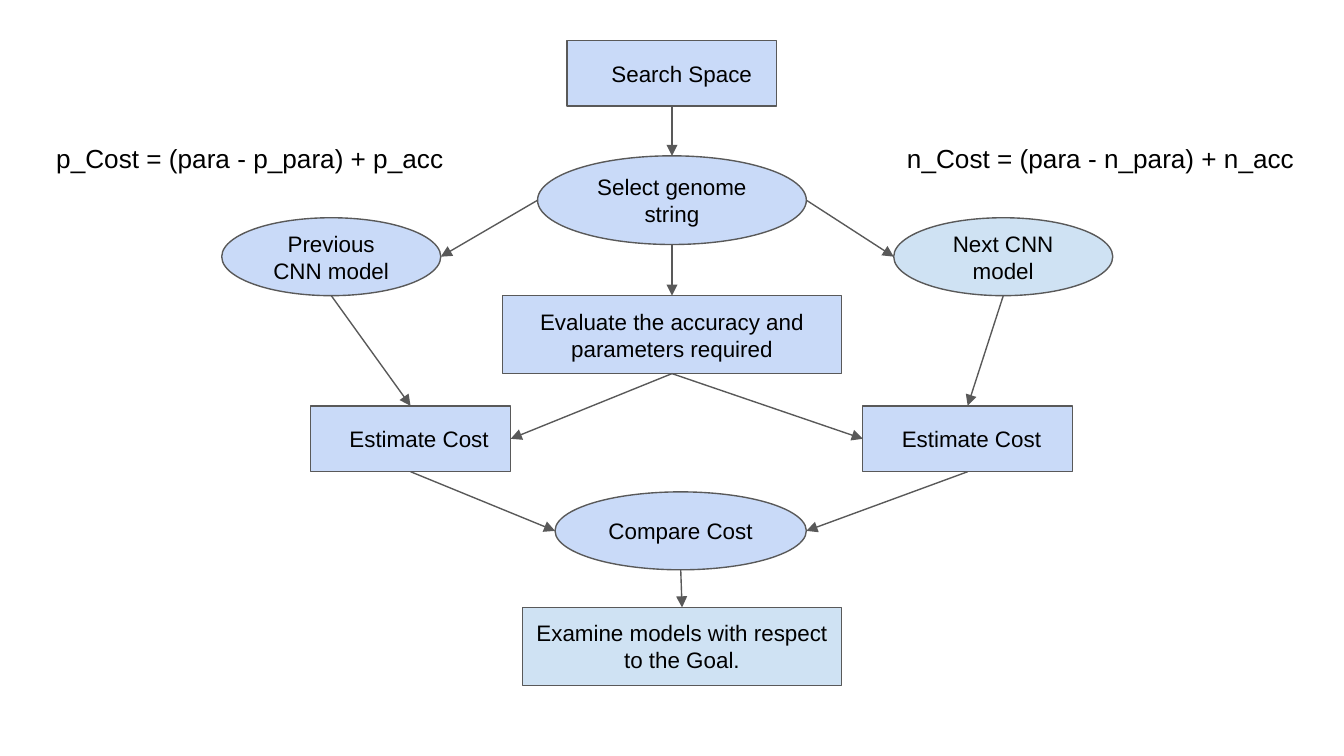
"""Build the flowchart slide of the genome search and its cost comparison."""
from lxml.etree import SubElement
from pptx import Presentation
from pptx.dml.color import RGBColor
from pptx.enum.shapes import MSO_CONNECTOR, MSO_SHAPE
from pptx.enum.text import MSO_ANCHOR, MSO_AUTO_SIZE, PP_ALIGN
from pptx.oxml.ns import qn
from pptx.util import Inches, Pt

COLORS = {"blue": "C9DAF8", "pale": "CFE2F3", "line": "595959", "text": "000000"}
FONT = "Arial"
PAD = 0.1
RECT, OVAL = MSO_SHAPE.RECTANGLE, MSO_SHAPE.OVAL

# name: text, shape, fill, (left, top, width, height), left indent or None if centred
NODES = {
    "search": ("Search Space", RECT, "blue", (4.22, 0.3, 1.56, 0.49), 0.23),
    "select": ("Select genome string", OVAL, "blue", (4, 1.16, 2, 0.66), None),
    "evaluate": ("Evaluate the accuracy and parameters required", RECT, "blue",
                 (3.74, 2.2, 2.52, 0.58), None),
    "prev_cost": ("Estimate Cost", RECT, "blue", (2.31, 3.02, 1.49, 0.49), 0.19),
    "previous": ("Previous CNN model", OVAL, "blue", (1.65, 1.62, 1.63, 0.58), None),
    "next": ("Next CNN model", OVAL, "pale", (6.65, 1.62, 1.63, 0.58), None),
    "next_cost": ("Estimate Cost", RECT, "blue", (6.42, 3.02, 1.56, 0.49), 0.19),
    "compare": ("Compare Cost", OVAL, "blue", (4.13, 3.66, 1.87, 0.58), None),
    "examine": ("Examine models with respect to the Goal.", RECT, "pale",
                (3.89, 4.52, 2.37, 0.58), None),
}
ARROWS = [
    ("search", "bottom", "select", "top"),
    ("select", "bottom", "evaluate", "top"),
    ("select", "left", "previous", "right"),
    ("select", "right", "next", "left"),
    ("previous", "bottom", "prev_cost", "top"),
    ("evaluate", "bottom", "prev_cost", "right"),
    ("next", "bottom", "next_cost", "top"),
    ("evaluate", "bottom", "next_cost", "left"),
    ("prev_cost", "bottom", "compare", "left"),
    ("next_cost", "bottom", "compare", "right"),
    ("compare", "bottom", "examine", "top"),
]
FORMULAS = [
    ("p_Cost = (para - p_para) + p_acc", (0.32, 0.96, 3.09, 0.44)),
    ("n_Cost = (para - n_para) + n_acc", (6.65, 0.96, 3.28, 0.44)),
]
SIDES = {"top": (0, 0.5, 0), "left": (1, 0, 0.5), "bottom": (2, 0.5, 1), "right": (3, 1, 0.5)}


def rgb(name):
    return RGBColor.from_string(COLORS[name])


def write(sp, text, size, indent=0):
    tf = sp.text_frame
    tf.word_wrap = True
    tf.margin_top = tf.margin_right = tf.margin_bottom = Inches(PAD)
    tf.margin_left = Inches(PAD + (indent or 0))
    tf.text = text
    p = tf.paragraphs[0]
    p.alignment = PP_ALIGN.CENTER if indent is None else PP_ALIGN.LEFT
    font = p.runs[0].font
    font.name, font.size = FONT, Pt(size)
    font.color.rgb = rgb("text")
    return tf


def outline(sp):
    sp.line.color.rgb = rgb("line")
    sp.line.width = Pt(0.75)


def add_node(slide, text, kind, fill, box, indent):
    sp = slide.shapes.add_shape(kind, *map(Inches, box))
    sp.shadow.inherit = False
    sp.fill.solid()
    sp.fill.fore_color.rgb = rgb(fill)
    outline(sp)
    write(sp, text, 12, indent).vertical_anchor = MSO_ANCHOR.MIDDLE
    return sp


def port(sp, side):
    site, fx, fy = SIDES[side]
    point = int(sp.left + fx * sp.width), int(sp.top + fy * sp.height)
    return point, site * (2 if sp.auto_shape_type == OVAL else 1)


def add_arrow(slide, start, start_side, end, end_side):
    begin, begin_site = port(start, start_side)
    finish, end_site = port(end, end_side)
    cxn = slide.shapes.add_connector(MSO_CONNECTOR.STRAIGHT, *begin, *finish)
    outline(cxn)
    SubElement(cxn.line._get_or_add_ln(), qn("a:tailEnd"), type="triangle")
    SubElement(cxn._element.spPr, qn("a:effectLst"))
    links = cxn._element.nvCxnSpPr.cNvCxnSpPr
    for tag, sp, site in (("a:stCxn", start, begin_site), ("a:endCxn", end, end_site)):
        SubElement(links, qn(tag), id=str(sp.shape_id), idx=str(site))


prs = Presentation()
prs.slide_width = Inches(10)
prs.slide_height = prs.slide_width * 9 // 16
slide = prs.slides.add_slide(prs.slide_layouts[6])

nodes = {name: add_node(slide, *node) for name, node in NODES.items()}
for start, start_side, end, end_side in ARROWS:
    add_arrow(slide, nodes[start], start_side, nodes[end], end_side)
for text, box in FORMULAS:
    tb = slide.shapes.add_textbox(*map(Inches, box))
    write(tb, text, 14).auto_size = MSO_AUTO_SIZE.SHAPE_TO_FIT_TEXT

prs.save("out.pptx")
